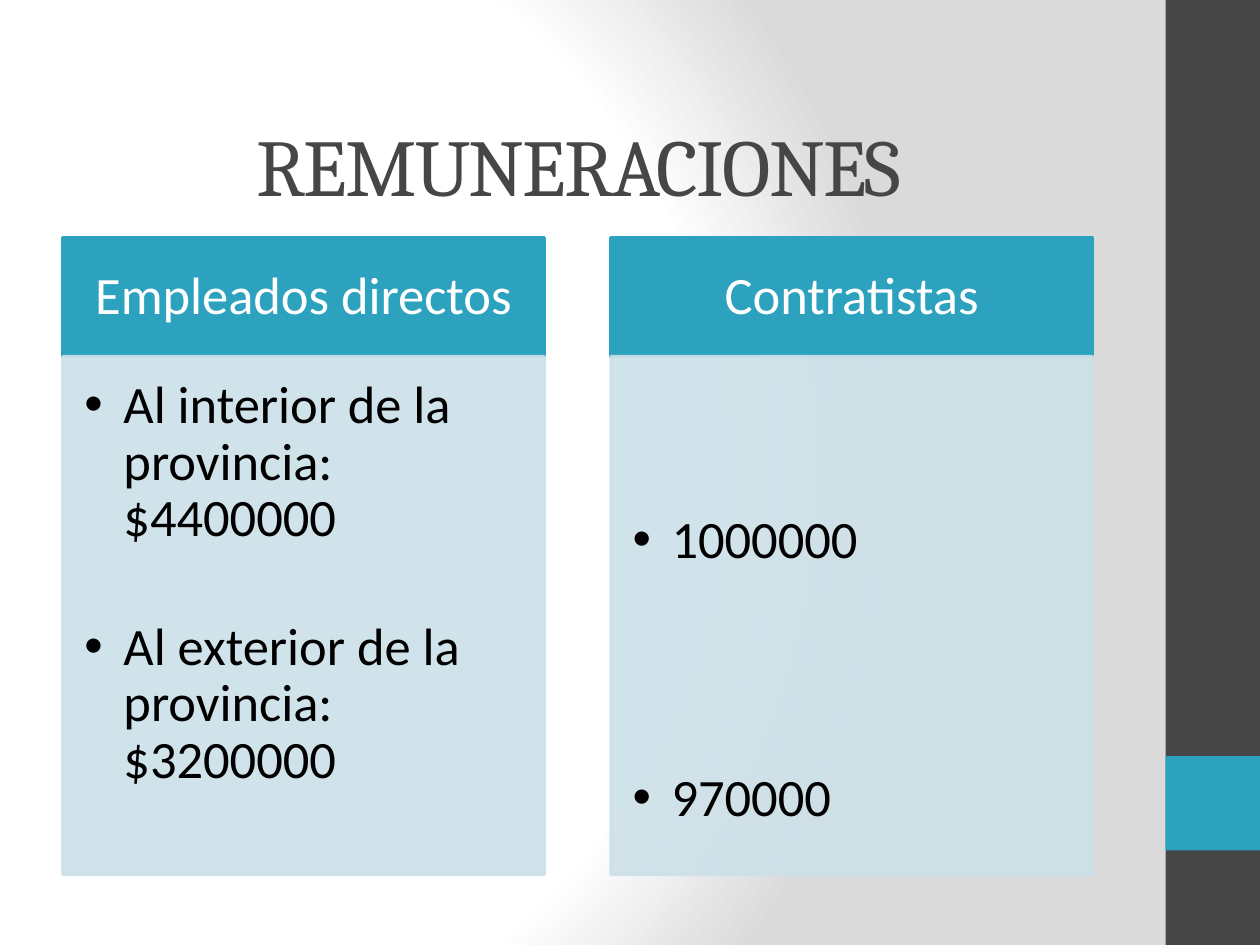
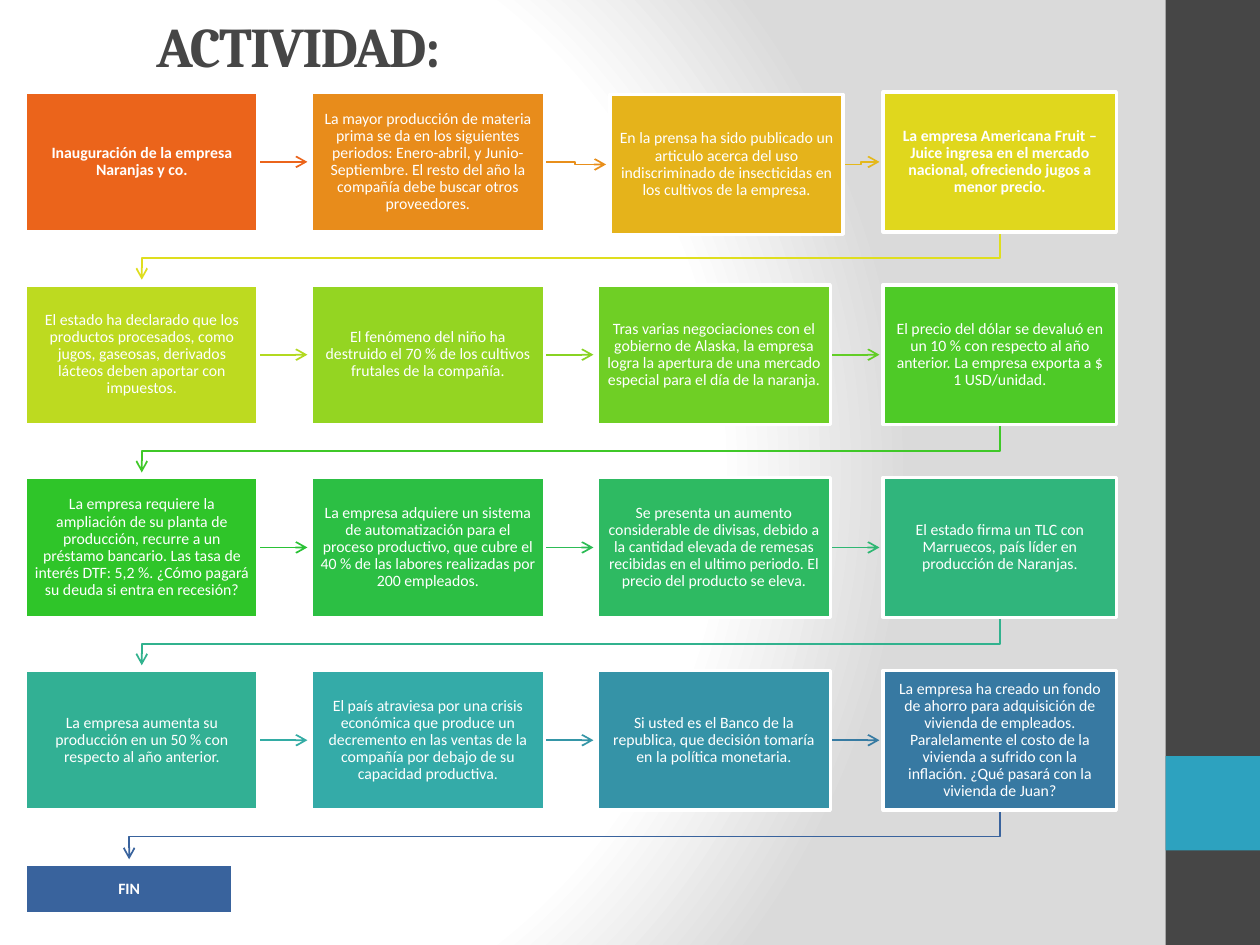
from colorsys import hls_to_rgb, rgb_to_hls

from pptx import Presentation
from pptx.dml.color import RGBColor as Rgb
from pptx.enum.shapes import MSO_CONNECTOR as Conn, MSO_SHAPE as Form
from pptx.enum.text import MSO_ANCHOR as Anchor, MSO_AUTO_SIZE as Auto, PP_ALIGN as Align
from pptx.oxml import parse_xml
from pptx.oxml.ns import nsdecls, qn
from pptx.util import Inches, Pt

COLORS = {
    "dark": "464646", "teal": "2DA2BF", "pale": "CDE0E8", "white": "FFFFFF",
    "gray": "DADADA", "black": "000000", "first": "EB641B", "last": "39639D",
}
HEAD, BODY = "Cambria", "Calibri"

# Slide 1: heading, entries, top inset, gap between entries
PANELS = [
    ("Empleados directos", ["Al interior de la provincia: $4400000",
                            "Al exterior de la provincia: $3200000"], 0.17, 41),
    ("Contratistas", ["1000000", "970000"], 1.24, 115),
]

# Slide 2: steps in reading order, four to a row
STEPS = [
    "Inauguración de la empresa Naranjas y co.",
    "La mayor producción de materia prima se da en los siguientes periodos: Enero-abril, "
    "y Junio- Septiembre. El resto del año la compañía debe buscar otros proveedores.",
    "En la prensa ha sido publicado un articulo acerca del uso indiscriminado de "
    "insecticidas en los cultivos de la empresa.",
    "La empresa Americana Fruit – Juice ingresa en el mercado nacional, ofreciendo "
    "jugos a menor precio.",
    "El estado ha declarado que los productos procesados, como jugos, gaseosas, "
    "derivados lácteos deben aportar con impuestos.",
    "El fenómeno del niño ha destruido el 70 % de los cultivos frutales de la compañía.",
    "Tras varias negociaciones con el gobierno de Alaska, la empresa logra la apertura "
    "de una mercado especial para el día de la naranja.",
    "El precio del dólar se devaluó en un 10 % con respecto al año anterior. "
    "La empresa exporta a $ 1 USD/unidad.",
    "La empresa requiere la ampliación de su planta de producción, recurre a un préstamo "
    "bancario. Las tasa de interés DTF: 5,2 %. ¿Cómo pagará su deuda si entra en recesión?",
    "La empresa adquiere un sistema de automatización para el proceso productivo, que "
    "cubre el 40 % de las labores realizadas por 200 empleados.",
    "Se presenta un aumento considerable de divisas, debido a la cantidad elevada de "
    "remesas recibidas en el ultimo periodo. El precio del producto se eleva.",
    "El estado firma un TLC con Marruecos, país líder en producción de Naranjas.",
    "La empresa aumenta su producción en un 50 % con respecto al año anterior.",
    "El país atraviesa por una crisis económica que produce un decremento en las ventas "
    "de la compañía por debajo de su capacidad productiva.",
    "Si usted es el Banco de la republica, que decisión tomaría en la política monetaria.",
    "La empresa ha creado un fondo de ahorro para adquisición de vivienda de empleados. "
    "Paralelamente el costo de la vivienda a sufrido con la inflación. "
    "¿Qué pasará con la vivienda de Juan?",
    "FIN",
]
BOLD = {0, 3, 16}
COLS, WIDE, HIGH = 4, 1.85, 1.11


def rgb(name):
    return Rgb.from_string(COLORS.get(name, name))


def ramp(count):
    """Hex colours evenly spaced in hue, light and saturation."""
    ends = [rgb_to_hls(*(v / 255 for v in rgb(n))) for n in ("first", "last")]
    tones = []
    for i in range(count):
        t = i / (count - 1)
        mix = [a + (b - a) * t for a, b in zip(*ends)]
        tones.append("".join(f"{round(v * 255):02X}" for v in hls_to_rgb(*mix)))
    return tones


def place(shape, left, top, width, height):
    shape.left, shape.top = Inches(left), Inches(top)
    shape.width, shape.height = Inches(width), Inches(height)


def paint(shape, fill, line=None, alpha=None):
    shape.shadow.inherit = False
    shape.fill.solid()
    shape.fill.fore_color.rgb = rgb(fill)
    if line:
        shape.line.color.rgb = rgb(line)
        shape.line.width = Pt(2)
    else:
        shape.line.fill.background()
    if alpha:
        for tone in shape.element.spPr.iter(qn("a:srgbClr")):
            tone.append(parse_xml(f'<a:alpha {nsdecls("a")} val="{alpha * 1000}"/>'))


def setup(shape, insets, anchor):
    frame = shape.text_frame
    frame.word_wrap = True
    frame.auto_size = Auto.NONE
    frame.vertical_anchor = anchor
    (frame.margin_left, frame.margin_top,
     frame.margin_right, frame.margin_bottom) = map(Inches, insets)
    return frame


def write(par, text, size, color, font=BODY, bold=False, align=Align.CENTER):
    par.alignment = align
    par.space_before = Pt(0)
    run = par.add_run()
    run.text = text
    run.font.name, run.font.size, run.font.bold = font, Pt(size), bold
    run.font.color.rgb = rgb(color)
    return run


def add_title(slide, text, box, size, bold=False, align=Align.CENTER):
    title = slide.shapes.title
    place(title, *box)
    frame = setup(title, (0.1, 0.05, 0.1, 0.05), Anchor.MIDDLE)
    run = write(frame.paragraphs[0], text, size, "dark", HEAD, bold, align)
    run.font.element.set("spc", "-100") if hasattr(run.font, "element") else \
        run._r.get_or_add_rPr().set("spc", "-100")


def add_rect(slide, box, fill, line=None):
    rect = slide.shapes.add_shape(Form.RECTANGLE, *map(Inches, box))
    paint(rect, fill, line)
    return rect


def dress(master, slide):
    """Give the master its gradient background and side band."""
    tree = master.element.cSld
    old = tree.find(qn("p:bg"))
    if old is not None:
        tree.remove(old)
    stops = "".join(
        f'<a:gs pos="{pos * 1000}"><a:srgbClr val="{COLORS[name]}"/></a:gs>'
        for pos, name in ((0, "white"), (75, "white"), (100, "gray")))
    tree.insert(0, parse_xml(
        f'<p:bg {nsdecls("p", "a")}><p:bgPr><a:gradFill rotWithShape="1">'
        f'<a:gsLst>{stops}</a:gsLst><a:path path="circle">'
        '<a:fillToRect l="20000" t="50000" r="100000" b="50000"/></a:path>'
        '</a:gradFill><a:effectLst/></p:bgPr></p:bg>'))
    bands = (((9.25, 0, 0.75, 7.5), "dark"), ((9.25, 6, 0.75, 0.75), "teal"))
    for spot, (box, fill) in enumerate(bands):
        master.shapes.element.insert(2 + spot, add_rect(slide, box, fill).element)


def add_panel(head, body, left, data):
    name, items, top, gap = data
    place(head, left, 1.89, 3.82, 0.94)
    paint(head, "teal", "teal")
    par = setup(head, (0.23, 0.13, 0.23, 0.13), Anchor.MIDDLE).paragraphs[0]
    par.line_spacing = 0.9
    write(par, name, 30, "white")

    place(body, left, 2.83, 3.82, 4.11)
    paint(body, "pale", "pale", 90)
    frame = setup(body, (0.17, top, 0.23, 0.1), Anchor.TOP)
    for i, item in enumerate(items):
        par = frame.add_paragraph() if i else frame.paragraphs[0]
        props = par._p.get_or_add_pPr()
        props.set("marL", str(Inches(0.31)))
        props.set("indent", str(Inches(-0.31)))
        props.append(parse_xml(f'<a:buChar {nsdecls("a")} char="•"/>'))
        par.line_spacing = 0.9
        write(par, item, 30, "black", align=Align.LEFT)
        if i:
            par.space_before = Pt(gap)


def add_step(slide, box, text, fill, bold):
    rect = add_rect(slide, box, fill, "white")
    par = setup(rect, (0.07,) * 4, Anchor.MIDDLE).paragraphs[0]
    par.line_spacing = 0.9
    write(par, text, 9, "white", bold=bold)


def route(start, end):
    """Points from one step to the next, beside it or on the row below."""
    x, y, w, h = start
    nx, ny, nw, nh = end
    if nx > x:
        a, b = (x + w, y + h / 2), (nx - 0.03, ny + nh / 2)
        if a[1] == b[1]:
            return [a, b]
        mid = (a[0] + b[0]) / 2
        return [a, (mid, a[1]), (mid, b[1]), b]
    a, b = (x + w / 2, y + h), (nx + nw / 2, ny - 0.04)
    return [a, (a[0], a[1] + 0.21), (b[0], a[1] + 0.21), b]


def add_link(slide, points, color):
    points = [(Inches(x), Inches(y)) for x, y in points]
    if len(points) == 2:
        link = slide.shapes.add_connector(Conn.STRAIGHT, *points[0], *points[1])
    else:
        pen = slide.shapes.build_freeform(*points[0])
        pen.add_line_segments(points[1:], close=False)
        link = pen.convert_to_shape()
        link.fill.background()
    link.line.color.rgb = rgb(color)
    link.line.width = Pt(1)
    props = link.element.spPr
    props.find(qn("a:ln")).append(parse_xml(f'<a:tailEnd {nsdecls("a")} type="arrow"/>'))
    props.append(parse_xml(f'<a:effectLst {nsdecls("a")}/>'))


def pay_slide(slide):
    add_title(slide, "REMUNERACIONES", (0.43, 0.68, 8.33, 1.25), 46)
    holders = {p.placeholder_format.idx: p for p in slide.placeholders}
    for i, data in enumerate(PANELS):
        add_panel(holders[1 + 2 * i], holders[2 + 2 * i], 0.5 + 4.35 * i, data)


def task_slide(slide):
    add_title(slide, "ACTIVIDAD:", (1.14, 0, 7.64, 0.71), 32, True, Align.LEFT)
    boxes = [(0.2 + 2.27 * (i % COLS), 0.73 + 1.53 * (i // COLS), WIDE, HIGH)
             for i in range(len(STEPS) - 1)]
    boxes[2] = (4.84, 0.75, WIDE, HIGH)
    boxes.append((0.2, 6.86, 1.65, 0.39))
    for start, end, color in zip(boxes, boxes[1:], ramp(len(boxes) - 1)):
        add_link(slide, route(start, end), color)
    for i, (box, text, fill) in enumerate(zip(boxes, STEPS, ramp(len(boxes)))):
        add_step(slide, box, text, fill, i in BOLD)


def main():
    deck = Presentation()
    deck.slide_width, deck.slide_height = Inches(10), Inches(7.5)
    pay = deck.slides.add_slide(deck.slide_layouts.get_by_name("Comparison"))
    task = deck.slides.add_slide(deck.slide_layouts.get_by_name("Title Only"))
    dress(deck.slide_master, pay)
    pay_slide(pay)
    task_slide(task)
    deck.save("out.pptx")


if __name__ == "__main__":
    main()
